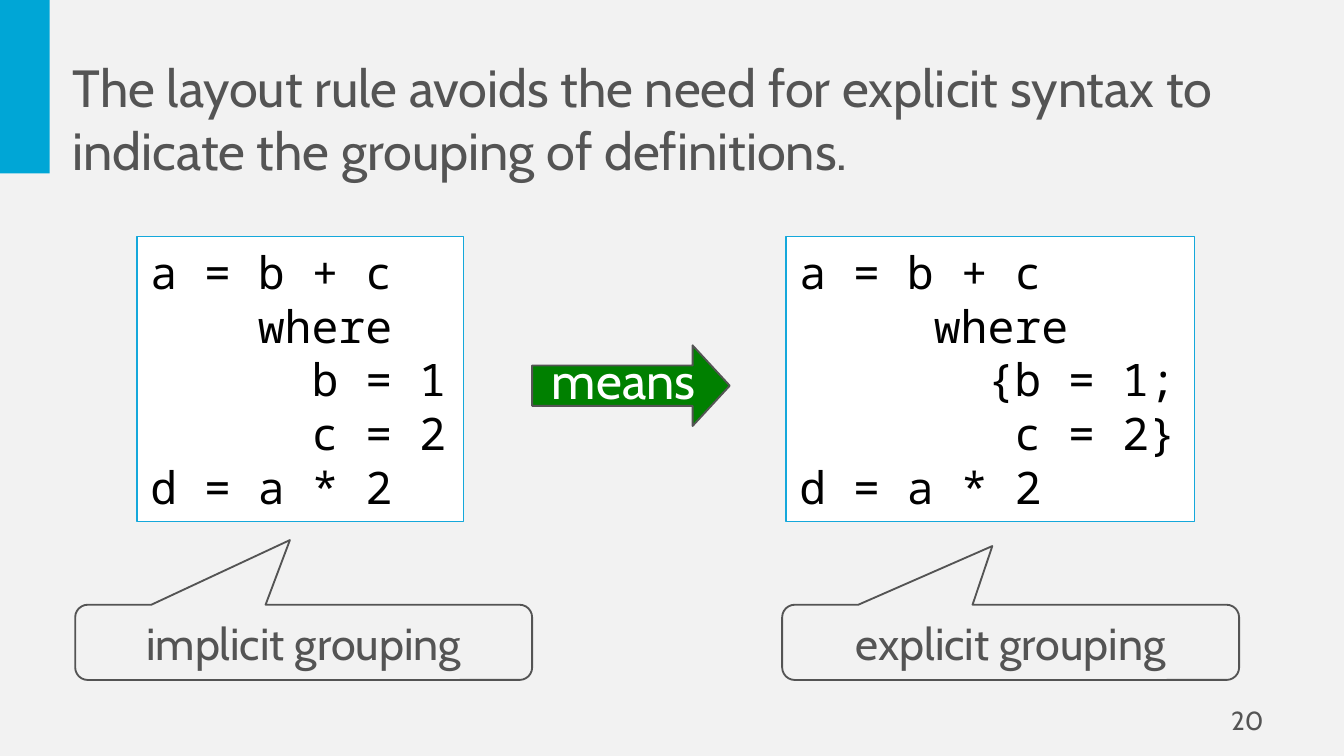
from dataclasses import dataclass

from pptx import Presentation
from pptx.dml.color import RGBColor
from pptx.enum.shapes import MSO_SHAPE as Shape
from pptx.enum.text import MSO_ANCHOR as Anchor, MSO_AUTO_SIZE as AutoSize, PP_ALIGN as Align
from pptx.util import Inches, Pt

COLORS = {
    "background": "F2F2F2", "bar": "00A6D6", "text": "545454", "arrow": "008000",
    "border": "15A8DB", "white": "FFFFFF", "black": "000000",
}
SANS, MONO = "Cabin", "Noto Sans Mono"
WIDTH = 10
HEIGHT = WIDTH * 9 / 16
CODE_TOP, CODE_HEIGHT = 1.76, 2.12
CODE_COLUMN = 0.2  # width of one 24 pt monospaced character, in inches
CALLOUT_TOP, CALLOUT_WIDTH, CALLOUT_HEIGHT = 4.5, 3.4, 0.56


@dataclass(frozen=True)
class Line:
    """One line of text and its indent in character columns."""
    text: str
    column: int = 0


@dataclass(frozen=True)
class Example:
    """A code box and the callout that names its grouping style."""
    left: float
    width: float
    lines: tuple[Line, ...]
    callout: str
    callout_left: float
    tip: tuple[float, float]


EXAMPLES = (
    Example(1.02, 2.43,
            (Line("a = b + c"), Line("where", 4), Line("b = 1", 6),
             Line("c = 2", 6), Line("d = a * 2")),
            "implicit grouping", 0.56, (-0.03, -1.36)),
    Example(5.85, 3.04,
            (Line("a = b + c"), Line("where", 5), Line("{b = 1;", 7),
             Line("c = 2}", 8), Line("d = a * 2")),
            "explicit grouping", 5.82, (-0.04, -1.28)),
)


def color(name: str) -> RGBColor:
    """Look up a named colour."""
    return RGBColor.from_string(COLORS[name])


def add_box(page, kind, left: float, top: float, width: float, height: float,
            fill: str = "", line: str = "", weight: float = 1):
    """Add a flat preset shape with an optional fill and outline."""
    box = page.shapes.add_shape(kind, *map(Inches, (left, top, width, height)))
    box.shadow.inherit = False
    if fill:
        box.fill.solid()
        box.fill.fore_color.rgb = color(fill)
    else:
        box.fill.background()
    if line:
        box.line.color.rgb = color(line)
        box.line.width = Pt(weight)
    else:
        box.line.fill.background()
    return box


def write(box, lines: tuple[Line, ...], size: float, ink: str = "text",
          font: str = SANS, align=Align.LEFT, wrap: bool = True) -> None:
    """Fill a shape with vertically centred lines of text."""
    frame = box.text_frame
    frame.auto_size = AutoSize.NONE
    frame.word_wrap = wrap
    frame.vertical_anchor = Anchor.MIDDLE
    frame.text = "\n".join(line.text for line in lines)
    for para, line in zip(frame.paragraphs, lines):
        para.alignment = align
        para.font.name = font
        para.font.size = Pt(size)
        para.font.color.rgb = color(ink)
        if line.column:
            properties = para._p.get_or_add_pPr()
            properties.set("marL", str(Inches(line.column * CODE_COLUMN)))
            properties.set("indent", "0")


def add_label(page, text: str, left: float, top: float, width: float, height: float,
              size: float, **style) -> None:
    """Add a one-line text box."""
    box = page.shapes.add_textbox(*map(Inches, (left, top, width, height)))
    write(box, (Line(text),), size, **style)


def add_title(page, text: str) -> None:
    """Place and format the title placeholder."""
    title = page.shapes.title
    title.left, title.top, title.width, title.height = map(Inches, (0.44, 0.36, 8.9, 1.04))
    write(title, (Line(text),), 28)


def add_example(page, example: Example) -> None:
    """Draw a code box with its callout below."""
    code = add_box(page, Shape.RECTANGLE, example.left, CODE_TOP, example.width,
                   CODE_HEIGHT, "white", "border", 0.75)
    write(code, example.lines, 24, "black", MONO)
    code.text_frame.margin_right = 0
    callout = add_box(page, Shape.ROUNDED_RECTANGULAR_CALLOUT, example.callout_left,
                      CALLOUT_TOP, CALLOUT_WIDTH, CALLOUT_HEIGHT, line="text")
    callout.adjustments[0], callout.adjustments[1] = example.tip
    write(callout, (Line(example.callout),), 24, align=Align.CENTER)


def add_arrow(page) -> None:
    """Draw the labelled arrow between the two examples."""
    arrow = add_box(page, Shape.RIGHT_ARROW, 3.96, 2.57, 1.47, 0.6, "arrow", "text")
    arrow.adjustments[1] = 0.46
    add_label(page, "means", 3.97, 2.54, 1.34, 0.57, 27, ink="white",
              align=Align.CENTER, wrap=False)


def main() -> None:
    """Build and save the slide."""
    deck = Presentation()
    deck.slide_width, deck.slide_height = Inches(WIDTH), Inches(HEIGHT)
    page = deck.slides.add_slide(deck.slide_layouts.get_by_name("Title Only"))
    page.background.fill.solid()
    page.background.fill.fore_color.rgb = color("background")
    add_box(page, Shape.RECTANGLE, 0, 0, 0.37, 1.29, "bar")
    add_title(page, "The layout rule avoids the need for explicit syntax to "
                    "indicate the grouping of definitions.")
    add_arrow(page)
    for example in EXAMPLES:
        add_example(page, example)
    add_label(page, "20", 7.17, 5.21, 2.33, 0.3, 14, align=Align.RIGHT)
    deck.save("out.pptx")


main()
